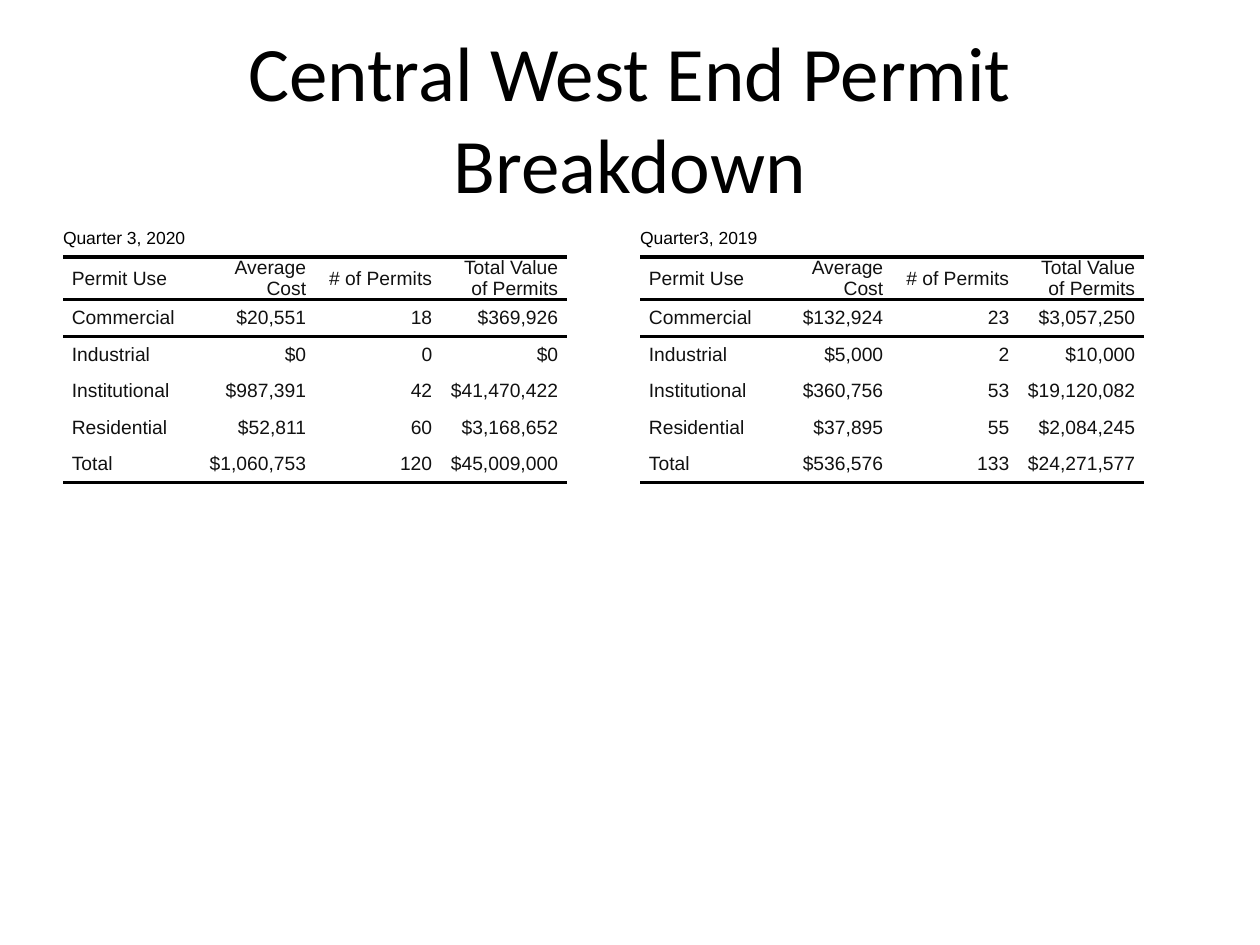
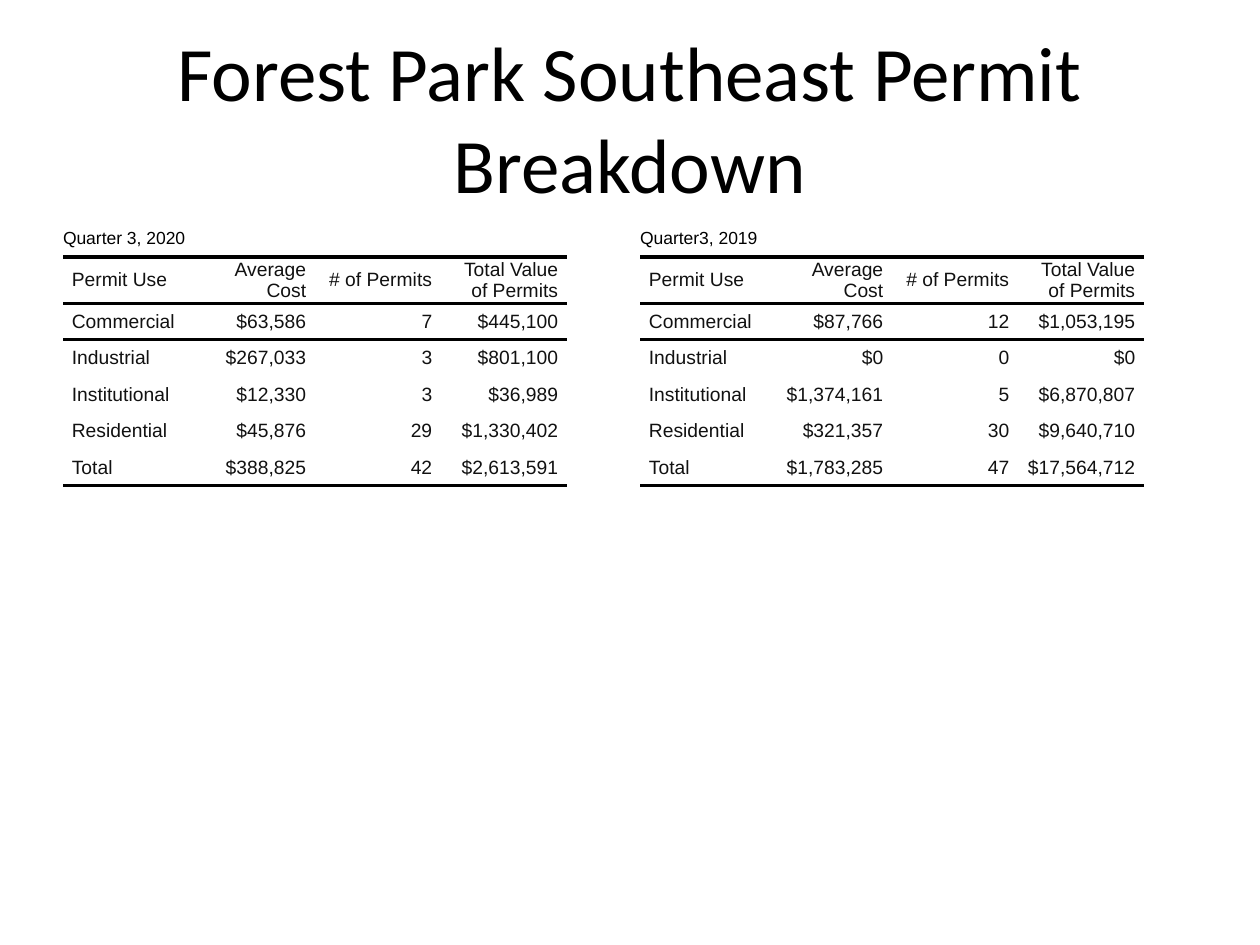
from pptx import Presentation
from pptx.dml.color import RGBColor
from pptx.enum.text import MSO_ANCHOR as Anchor, PP_ALIGN as Align
from pptx.oxml.ns import qn
from pptx.util import Inches, Pt
from lxml.etree import SubElement

HEADER = ("Permit Use", "Average Cost", "# of Permits", "Total Value of Permits")
USES = ("Commercial", "Industrial", "Institutional", "Residential", "Total")
QUARTERS = ("Quarter 3, 2020", "Quarter3, 2019")
NEIGHBORHOODS = {
    "Central West End Permit Breakdown": (
        (("$20,551", "18", "$369,926"),
         ("$0", "0", "$0"),
         ("$987,391", "42", "$41,470,422"),
         ("$52,811", "60", "$3,168,652"),
         ("$1,060,753", "120", "$45,009,000")),
        (("$132,924", "23", "$3,057,250"),
         ("$5,000", "2", "$10,000"),
         ("$360,756", "53", "$19,120,082"),
         ("$37,895", "55", "$2,084,245"),
         ("$536,576", "133", "$24,271,577")),
    ),
    "Forest Park Southeast Permit Breakdown": (
        (("$63,586", "7", "$445,100"),
         ("$267,033", "3", "$801,100"),
         ("$12,330", "3", "$36,989"),
         ("$45,876", "29", "$1,330,402"),
         ("$388,825", "42", "$2,613,591")),
        (("$87,766", "12", "$1,053,195"),
         ("$0", "0", "$0"),
         ("$1,374,161", "5", "$6,870,807"),
         ("$321,357", "30", "$9,640,710"),
         ("$1,783,285", "47", "$17,564,712")),
    ),
}

BLACK = RGBColor(0x00, 0x00, 0x00)
INK = RGBColor(0x11, 0x11, 0x11)
PAGE_WIDTH, PAGE_HEIGHT = Inches(10), Inches(7.5)
MARGIN = Inches(0.5)
CONTENT_WIDTH = PAGE_WIDTH - 2 * MARGIN
TITLE_TOP, TITLE_HEIGHT = Inches(0.3), Inches(1.25)
TABLE_TOP, TABLE_HEIGHT = Inches(1.75), Inches(4.95)
TABLE_WIDTH = Inches(4.42)
COLUMN_WIDTH, ROW_HEIGHT = Inches(1), Inches(0.29)
CELL_INDENT = Inches(0.07)
RULED_EDGES = (1, 2, 7)
PLAIN_TABLE_STYLE = "{2D5ABB26-0587-4C30-8999-92F81FD0307C}"


def write(para, text, font, size, color, align):
    para.alignment = align
    span = para.add_run()
    span.text = text
    span.font.name = font
    span.font.size = Pt(size)
    span.font.color.rgb = color


def add_title(page, text):
    box = page.shapes.add_textbox(MARGIN, TITLE_TOP, CONTENT_WIDTH, TITLE_HEIGHT)
    frame = box.text_frame
    frame.word_wrap = True
    frame.vertical_anchor = Anchor.MIDDLE
    write(frame.paragraphs[0], text, "Calibri", 44, BLACK, Align.CENTER)


def format_cell(cell, row):
    cell.vertical_anchor = Anchor.MIDDLE
    cell.margin_left = cell.margin_top = cell.margin_bottom = 0
    cell.margin_right = CELL_INDENT if row else 0
    properties = cell._tc.get_or_add_tcPr()
    for side, edge in (("a:lnT", row), ("a:lnB", row + 1)):
        if edge in RULED_EDGES:
            line = SubElement(properties, qn(side), w=str(Pt(2)))
            fill = SubElement(line, qn("a:solidFill"))
            SubElement(fill, qn("a:srgbClr"), val=str(BLACK))
    cell.fill.background()


def add_permit_table(page, left, quarter, figures):
    rows = [HEADER] + [(use, *values) for use, values in zip(USES, figures)]
    holder = page.shapes.add_table(len(rows) + 1, len(HEADER), left, TABLE_TOP,
                                   TABLE_WIDTH, TABLE_HEIGHT)
    table = holder.table
    table.first_row = table.horz_banding = False
    table._tbl.tblPr.find(qn("a:tableStyleId")).text = PLAIN_TABLE_STYLE
    for column in table.columns:
        column.width = COLUMN_WIDTH
    for index, row in enumerate(table.rows):
        row.height = ROW_HEIGHT
        for cell in row.cells:
            format_cell(cell, index)
    holder.width, holder.height = TABLE_WIDTH, TABLE_HEIGHT

    caption = table.cell(0, 0)
    caption.merge(table.cell(0, len(HEADER) - 1))
    write(caption.text_frame.paragraphs[0], quarter, "Arial", 10, BLACK, Align.LEFT)
    for index, values in enumerate(rows, 1):
        for column, value in enumerate(values):
            para = table.cell(index, column).text_frame.paragraphs[0]
            write(para, value, "Arial", 11, INK, Align.RIGHT if column else Align.LEFT)
            para._p.get_or_add_pPr().set("marL", str(CELL_INDENT))


def main():
    deck = Presentation()
    deck.slide_width, deck.slide_height = PAGE_WIDTH, PAGE_HEIGHT
    table_lefts = (MARGIN, PAGE_WIDTH - MARGIN - TABLE_WIDTH)
    for title, tables in NEIGHBORHOODS.items():
        page = deck.slides.add_slide(deck.slide_layouts[6])
        for left, quarter, figures in zip(table_lefts, QUARTERS, tables):
            add_permit_table(page, left, quarter, figures)
        add_title(page, title)
    deck.save("out.pptx")


if __name__ == "__main__":
    main()
